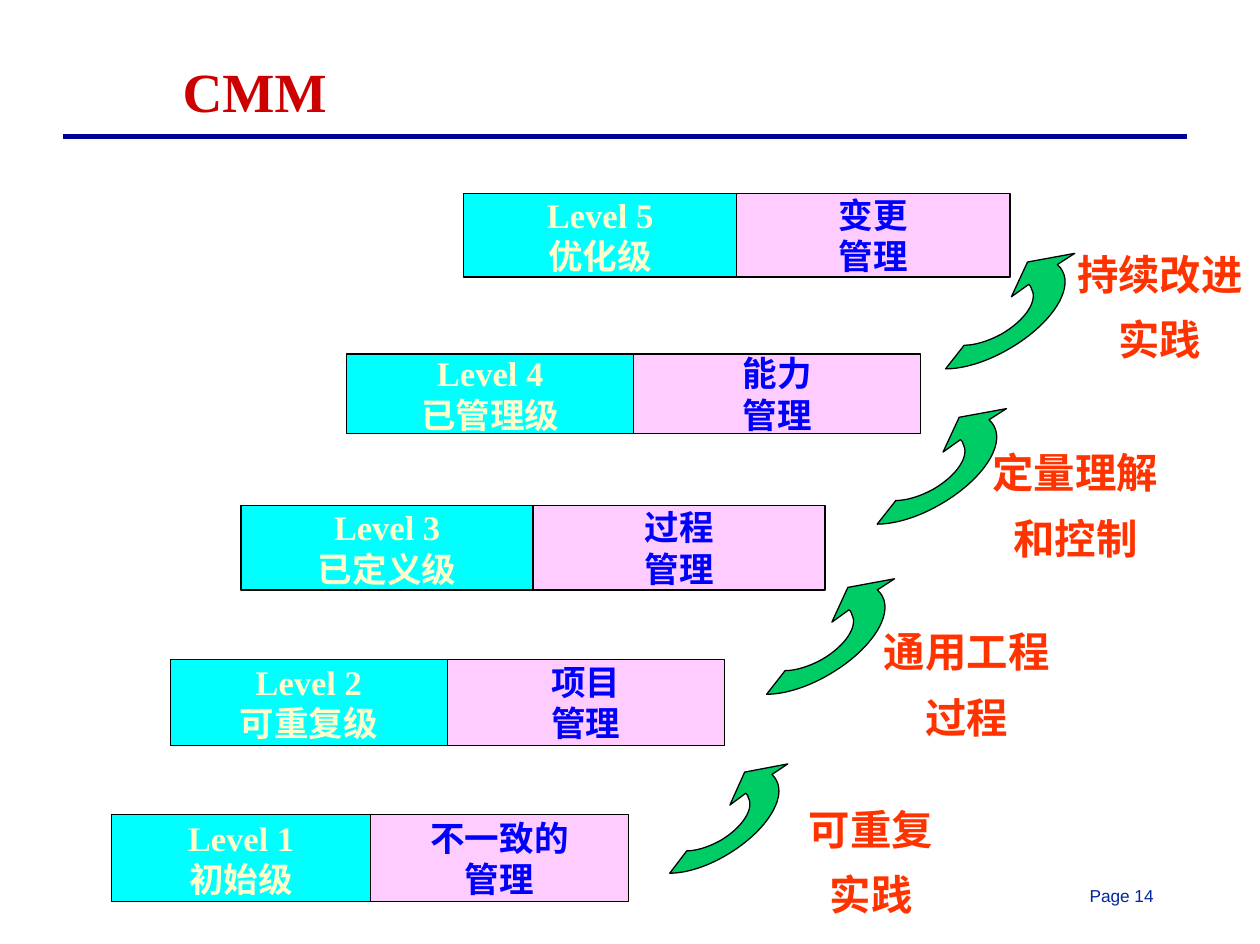
"""Build the CMM maturity staircase slide."""
from pptx import Presentation
from pptx.dml.color import RGBColor
from pptx.enum.shapes import MSO_CONNECTOR, MSO_SHAPE
from pptx.enum.text import MSO_ANCHOR, MSO_AUTO_SIZE, PP_ALIGN
from pptx.oxml.ns import qn
from pptx.util import Pt
from lxml.etree import SubElement

PX = 9144
COLORS = {
    "rule": "000099", "title": "CC0000", "page": "00279F", "outline": "000000",
    "level": "00FFFF", "level_text": "FFFFCC", "focus": "FFCCFF",
    "focus_text": "0000FF", "arrow": "00CC66", "practice": "FF3300",
}
SERIF = "Times New Roman"
LEVELS = [
    ((90, 656, 208, 70), "初始级", "不一致的"),
    ((137, 531, 223, 69), "可重复级", "项目"),
    ((194, 407, 235, 68), "已定义级", "过程"),
    ((279, 285, 231, 64), "已管理级", "能力"),
    ((373, 156, 220, 67), "优化级", "变更"),
]
STEPS = [
    ((539, 615, 95, 88), (625, 650, 152, 95), ["可重复", "实践"]),
    ((617, 466, 103, 93), (685, 507, 186, 95), ["通用工程", "过程"]),
    ((706, 329, 104, 93), (777, 363, 177, 95), ["定量理解", "和控制"]),
    ((761, 204, 104, 93), (828, 203, 211, 95), ["持续改进", "实践"]),
]
ARROW_SIZE = (104, 93)
ARROW_START = (67, 25)
ARROW_SEGMENTS = [
    [(68, 26), (69, 27), (69, 28)],
    [(75, 38), (64, 54), (45, 65)],
    [(34, 71), (23, 74), (15, 74)],
    [(0, 93)],
    [(15, 93), (34, 87), (51, 77)],
    [(84, 58), (103, 30), (94, 14)],
    [(93, 12), (92, 11), (90, 9)],
    [(104, 0)], [(66, 7)], [(53, 35)],
]


def px(*lengths):
    """Turn px lengths into EMU."""
    return [round(length * PX) for length in lengths]


def color(name):
    """Look up a named colour."""
    return RGBColor.from_string(COLORS[name])


def paint(shape, fill):
    """Give a shape its fill and a thin outline without shadow."""
    shape.shadow.inherit = False
    shape.fill.solid()
    shape.fill.fore_color.rgb = color(fill)
    shape.line.color.rgb = color("outline")
    shape.line.width = Pt(0.75)


def write(frame, lines, size, ink, font=SERIF, bold=True, **paragraph_format):
    """Write one paragraph per line in a single style."""
    for index, line in enumerate(lines):
        paragraph = frame.add_paragraph() if index else frame.paragraphs[0]
        for key, value in paragraph_format.items():
            setattr(paragraph, key, value)
        run = paragraph.add_run()
        run.text = line
        for key, value in {"size": Pt(size), "name": font, "bold": bold}.items():
            setattr(run.font, key, value)
        run.font.color.rgb = color(ink)


def add_label(slide, box, lines, size, ink, **style):
    """Add a wrapping text box that grows with its text."""
    frame = slide.shapes.add_textbox(*px(*box)).text_frame
    frame.word_wrap = True
    frame.auto_size = MSO_AUTO_SIZE.SHAPE_TO_FIT_TEXT
    write(frame, lines, size, ink, **style)


def add_cell(slide, box, lines, fill):
    """Add one filled half of a level."""
    cell = slide.shapes.add_shape(MSO_SHAPE.RECTANGLE, *px(*box))
    paint(cell, fill)
    cell.text_frame.word_wrap = False
    cell.text_frame.vertical_anchor = MSO_ANCHOR.MIDDLE
    write(cell.text_frame, lines, 20, fill + "_text", alignment=PP_ALIGN.CENTER)


def add_level(slide, box, number, name, focus):
    """Add a level: its name on the left and its focus on the right."""
    left, top, width, height = box
    add_cell(slide, box, [f"Level {number}", name], "level")
    add_cell(slide, (left + width, top, width, height), [focus, "管理"], "focus")


def bend(arrow):
    """Merge each run of three straight segments into one cubic curve."""
    strokes = iter(list(arrow.element.iter(qn("a:lnTo"))))
    for segment in ARROW_SEGMENTS:
        stroke, *rest = [next(strokes) for _ in segment]
        if rest:
            stroke.tag = qn("a:cubicBezTo")
            for extra in rest:
                stroke.append(extra[0])
                extra.getparent().remove(extra)


def add_arrow(slide, box):
    """Add a curved arrow that rises to the right and fills the box."""
    left, top, width, height = box
    points = [ARROW_START] + [point for segment in ARROW_SEGMENTS for point in segment]
    outline = [
        px(left + x * width / ARROW_SIZE[0], top + y * height / ARROW_SIZE[1])
        for x, y in points
    ]
    builder = slide.shapes.build_freeform(*outline[0])
    builder.add_line_segments(outline[1:], close=False)
    builder.add_line_segments([], close=True)
    arrow = builder.convert_to_shape()
    bend(arrow)
    paint(arrow, "arrow")


def add_frame(slide, box):
    """Add the rule, the page number and the title."""
    left, top, width, height = box
    rule_y = top + 110
    rule = slide.shapes.add_connector(
        MSO_CONNECTOR.STRAIGHT, *px(left + 51, rule_y, left + width - 59, rule_y))
    rule.line.color.rgb = color("rule")
    rule.line.width = Pt(3)
    SubElement(rule.element.spPr, qn("a:effectLst"))
    add_label(slide, (left + 867, top + height - 52, 75, 27), ["Page 14"], 10, "page",
              font="Arial", bold=False)
    add_label(slide, (left, top + 41, 410, 64), ["CMM"], 32, "title",
              alignment=PP_ALIGN.CENTER, space_before=Pt(20))


def add_staircase(slide):
    """Add the five levels and the practices that lead from each to the next."""
    for number, (box, name, focus) in enumerate(LEVELS, 1):
        add_level(slide, box, number, name, focus)
    for arrow_box, _, _ in STEPS:
        add_arrow(slide, arrow_box)
    for _, practice_box, practice in STEPS:
        add_label(slide, practice_box, practice, 24, "practice",
                  alignment=PP_ALIGN.CENTER, line_spacing=0.8, space_before=Pt(15))


def main():
    """Build and save the slide."""
    deck = Presentation()
    deck.slide_width, deck.slide_height = px(1014, 760)
    slide = deck.slides.add_slide(deck.slide_layouts[6])
    add_frame(slide, (0, 0, 1014, 760))
    add_staircase(slide)
    deck.save("out.pptx")


if __name__ == "__main__":
    main()
